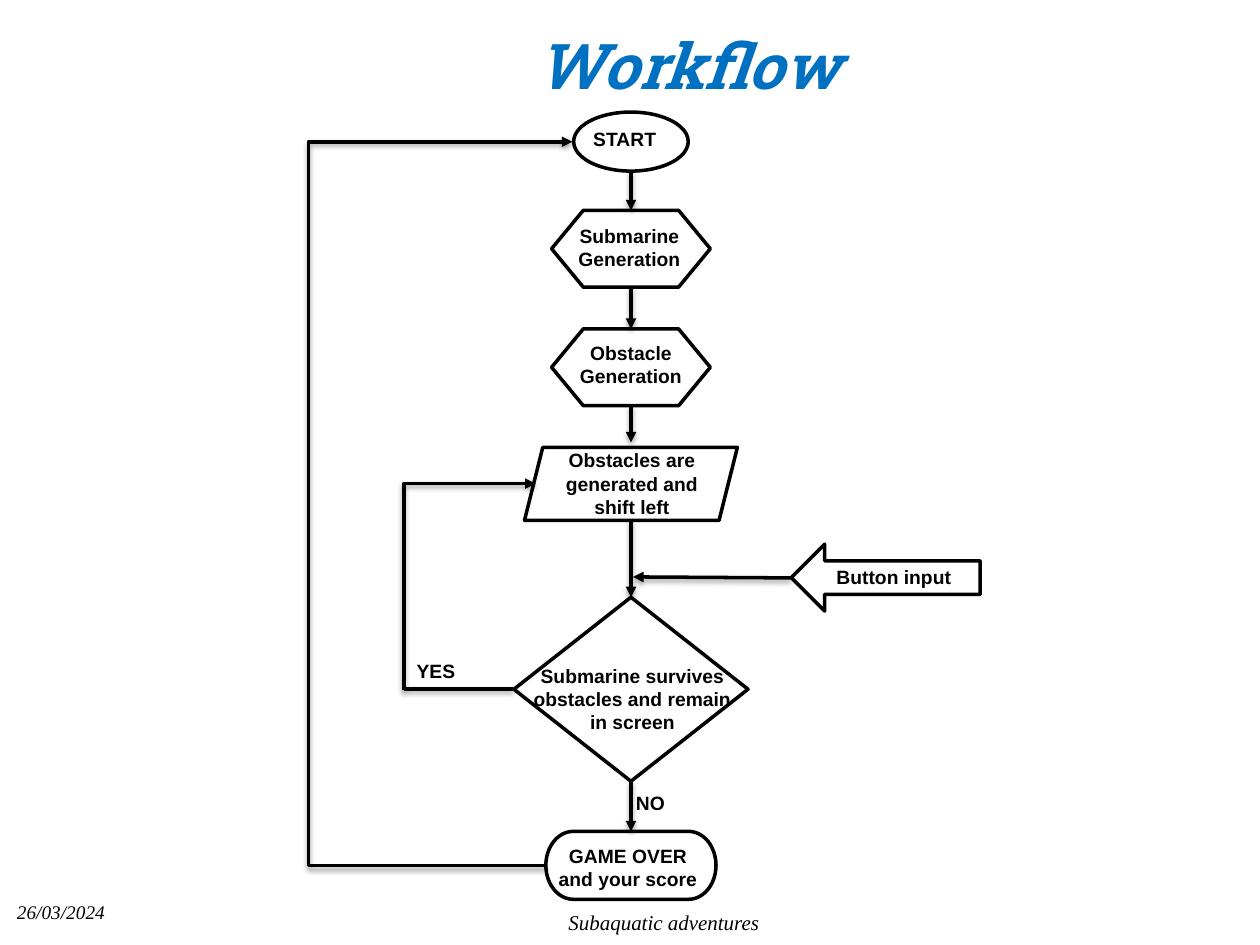
from dataclasses import dataclass

from lxml import etree
from pptx import Presentation
from pptx.dml.color import RGBColor as RGB
from pptx.enum.shapes import MSO_CONNECTOR as CONN, MSO_SHAPE as SHAPE
from pptx.enum.text import MSO_ANCHOR as ANCHOR, MSO_AUTO_SIZE as FIT, PP_ALIGN as ALIGN
from pptx.oxml.ns import qn
from pptx.util import Cm, Pt


@dataclass(frozen=True)
class Theme:
    ink: RGB = RGB(0, 0, 0)
    accent: RGB = RGB(0x00, 0x70, 0xC0)
    body: str = "Arial"
    heading: str = "Roboto Slab"
    footer: str = "Times New Roman"
    label_size: int = 11
    footer_size: int = 12
    title_size: int = 36
    line: int = 2


def sub(parent, tag, **attrs):
    return etree.SubElement(parent, qn(tag), {k: str(v) for k, v in attrs.items()})


class Flowchart:
    def __init__(self, prs, theme, axis):
        self.theme = theme
        self.axis = axis
        self.slide = prs.slides.add_slide(prs.slide_layouts[6])

    def text(self, box, lines, fmt, align=ALIGN.CENTER, anchor=ANCHOR.MIDDLE,
             fit=FIT.NONE, spacing=None):
        tf = self.slide.shapes.add_textbox(*map(Cm, box)).text_frame
        frame = {"word_wrap": True, "auto_size": fit, "vertical_anchor": anchor}
        for name, value in frame.items():
            setattr(tf, name, value)
        for i, line in enumerate(lines):
            p = tf.add_paragraph() if i else tf.paragraphs[0]
            p.alignment = align
            if spacing:
                p.line_spacing = spacing
            r = p.add_run()
            r.text = line
            for name, value in fmt.items():
                if name == "color":
                    r.font.color.rgb = value
                else:
                    setattr(r.font, name, value)

    def title(self, box, line):
        t = self.theme
        self.text(box, [line], {"name": t.heading, "size": Pt(t.title_size), "bold": True,
                                "italic": True, "color": t.accent}, spacing=0.9)

    def footer(self, box, line, size):
        t = self.theme
        self.text(box, [line], {"name": t.footer, "size": Pt(size), "italic": True,
                                "color": t.ink})

    def label(self, box, *lines, align=ALIGN.CENTER):
        t = self.theme
        self.text(box, lines, {"name": t.body, "size": Pt(t.label_size), "bold": True,
                               "color": t.ink}, align, ANCHOR.TOP, FIT.SHAPE_TO_FIT_TEXT)

    def node(self, kind, top, width, height, left=None):
        if left is None:
            left = self.axis - width / 2
        sp = self.slide.shapes.add_shape(kind, *map(Cm, (left, top, width, height)))
        sp.shadow.inherit = False
        sp.fill.background()
        sp.line.color.rgb = self.theme.ink
        sp.line.width = Pt(self.theme.line)

    def link(self, start, end, arrow="tailEnd", preset=None, bend=None):
        kind = CONN.ELBOW if preset else CONN.STRAIGHT
        c = self.slide.shapes.add_connector(kind, *map(Cm, start + end))
        c.line.color.rgb = self.theme.ink
        c.line.width = Pt(self.theme.line)
        if arrow:
            sub(c.line._get_or_add_ln(), f"a:{arrow}", type="triangle")
        pr = c._element.spPr
        if preset:
            geom = pr.find(qn("a:prstGeom"))
            geom.set("prst", preset)
            if bend is not None:
                ratio = (bend - start[0]) / (end[0] - start[0])
                guides = geom.find(qn("a:avLst"))
                if guides is None:
                    guides = sub(geom, "a:avLst")
                sub(guides, "a:gd", name="adj1", fmla=f"val {round(ratio * 100000)}")
        shadow = sub(sub(pr, "a:effectLst"), "a:outerShdw", blurRad=Pt(3.1), dist=Pt(1.6),
                     dir=5400000, rotWithShape=0)
        sub(sub(shadow, "a:srgbClr", val=self.theme.ink), "a:alpha", val=38000)


def main():
    prs = Presentation()
    prs.slide_width, prs.slide_height = Cm(25.4), Cm(19.05)
    theme = Theme()
    axis = 12.72
    chart = Flowchart(prs, theme, axis)

    chart.title((3.66, 0.2, 20.42, 2.39), "Workflow")
    chart.footer((6.25, 18.13, 14.27, 0.92), "Subaquatic adventures", theme.footer_size)
    chart.footer((0, 17.83, 2.46, 1.12), "26/03/2024", theme.label_size)

    for box, *lines in (
        ((11.13, 6.76, 3.18, 1.19), "Obstacle", "Generation"),
        ((10.85, 4.39, 3.68, 1.19), "Submarine", "Generation"),
        ((10.82, 8.92, 3.84, 1.68), "Obstacles are generated and shift left"),
        ((10.92, 16.89, 3.48, 1.19), "GAME OVER and your score"),
        ((15.95, 11.28, 4.14, 0.74), "Button input"),
        ((10.39, 13.26, 4.72, 1.68), "Submarine survives obstacles and remain in screen"),
    ):
        chart.label(box, *lines)
    for box, line in (
        ((11.71, 2.44, 2.2, 0.74), "START"),
        ((8.15, 13.16, 1.45, 0.74), "YES"),
        ((12.57, 15.82, 1.37, 0.74), "NO"),
    ):
        chart.label(box, line, align=ALIGN.LEFT)

    for kind, *size in (
        (SHAPE.OVAL, 2.26, 2.31, 1.19),
        (SHAPE.FLOWCHART_PREPARATION, 4.24, 3.2, 1.55),
        (SHAPE.FLOWCHART_PREPARATION, 6.63, 3.2, 1.55),
        (SHAPE.PARALLELOGRAM, 9.02, 4.29, 1.47),
        (SHAPE.DIAMOND, 12.04, 4.72, 3.71),
        (SHAPE.FLOWCHART_TERMINATOR, 16.76, 3.43, 1.37),
    ):
        chart.node(kind, *size)
    chart.node(SHAPE.LEFT_ARROW, 10.97, 3.81, 1.35, left=15.95)

    for top, bottom in ((3.45, 4.24), (5.79, 6.63), (8.18, 8.92),
                        (10.49, 12.04), (15.75, 16.76)):
        chart.link((axis, top), (axis, bottom))
    chart.link((15.95, 11.65), (12.76, 11.63))
    chart.link((10.8, 9.75), (8.15, 13.92), arrow="headEnd", preset="bentConnector2")
    chart.link((8.15, 13.89), (10.34, 13.89), arrow=None)
    chart.link((11, 17.45), (11.54, 2.86), preset="bentConnector3", bend=6.22)

    prs.save("out.pptx")


if __name__ == "__main__":
    main()
